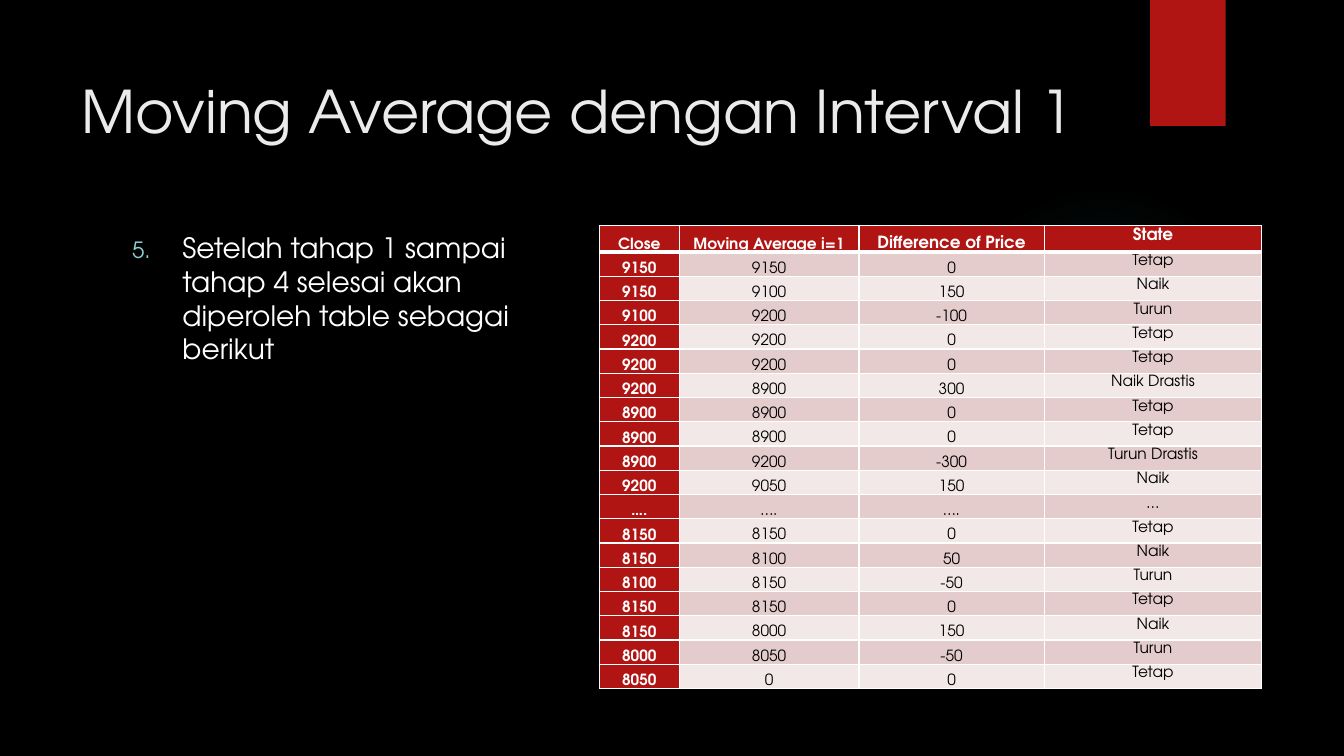
import pptx
import pptx.dml.color
import pptx.enum.shapes
import pptx.enum.text
import pptx.oxml
import pptx.oxml.ns
import pptx.util
from dataclasses import dataclass

# Content
TITLE = "Moving Average dengan Interval 1"
STEP = "Setelah tahap 1 sampai tahap 4 selesai akan diperoleh table sebagai berikut"
STEP_NUMBER = 5
HEADER = ("Close", "Moving Average i=1", "Difference of Price", "State")
PRICES = [
    ("9150", "9150", "0", "Tetap"),
    ("9150", "9100", "150", "Naik"),
    ("9100", "9200", "-100", "Turun"),
    ("9200", "9200", "0", "Tetap"),
    ("9200", "9200", "0", "Tetap"),
    ("9200", "8900", "300", "Naik Drastis"),
    ("8900", "8900", "0", "Tetap"),
    ("8900", "8900", "0", "Tetap"),
    ("8900", "9200", "-300", "Turun Drastis"),
    ("9200", "9050", "150", "Naik"),
    ("….", "….", "….", "…"),
    ("8150", "8150", "0", "Tetap"),
    ("8150", "8100", "50", "Naik"),
    ("8100", "8150", "-50", "Turun"),
    ("8150", "8150", "0", "Tetap"),
    ("8150", "8000", "150", "Naik"),
    ("8000", "8050", "-50", "Turun"),
    ("8050", "0", "0", "Tetap"),
]


@dataclass(frozen=True)
class Theme:
    font: str = "TeX Gyre Adventor"
    background: str = "000000"
    title: str = "EBEBEB"
    light: str = "FFFFFF"
    dark: str = "000000"
    red: str = "B01513"
    bands: tuple = ("E4CCCC", "F2E8E7")
    number: str = "8AD0D6"
    glow: str = "50B9C1"
    title_size: float = 42
    body_size: float = 20
    wide_header_size: float = 12
    cell_size: float = 11


THEME = Theme()
Pt = pptx.util.Pt
ALIGN = pptx.enum.text.PP_ALIGN
ANCHOR = pptx.enum.text.MSO_ANCHOR
SHAPE = pptx.enum.shapes.MSO_SHAPE

# Layout, in points: left, top, width, height
SLIDE_SIZE = (960, 540)
GLOW_BOX = (677.5, 131.8, 221.8, 221.8)
TAB_BOX = (821.5, 0, 54, 90)
TITLE_BOX = (51.1, 49.7, 728.6, 96.5)
BODY_BOX = (87.1, 161.3, 341.3, 330.5)
TABLE_BOX = (428.2, 161.3, 473.2, 330.5)
COLUMN_WIDTHS = (57, 128.4, 132.3, 155.5)
HEADER_HEIGHT = 18.7
ROW_HEIGHT = (TABLE_BOX[3] - HEADER_HEIGHT) / len(PRICES)


def rgb(color):
    return pptx.dml.color.RGBColor.from_string(color)


def apply(target, values):
    for name, value in values.items():
        setattr(target, name, value)


def xml(markup):
    return pptx.oxml.parse_xml(markup.replace(">", f" {pptx.oxml.ns.nsdecls('a')}>", 1))


def place(shape, box):
    apply(shape, dict(zip(("left", "top", "width", "height"), map(Pt, box))))


def write(frame, text, size, color, bold=False, align=ALIGN.LEFT):
    para = frame.paragraphs[0]
    para.alignment = align
    span = para.add_run()
    span.text = text
    apply(span.font, {"name": THEME.font, "size": Pt(size), "bold": bold})
    span.font.color.rgb = rgb(color)
    return para


def add_decoration(page, kind, box):
    shape = page.shapes.add_shape(kind, *map(Pt, box))
    shape.shadow.inherit = False
    shape.line.fill.background()
    page.shapes.title.element.addprevious(shape.element)
    return shape


def add_decorations(page):
    glow = add_decoration(page, SHAPE.OVAL, GLOW_BOX)
    stops = "".join(
        f'<a:gs pos="{position * 1000}"><a:srgbClr val="{THEME.glow}">'
        f'<a:alpha val="{alpha * 1000}"/></a:srgbClr></a:gs>'
        for position, alpha in ((0, 7), (36, 6), (69, 0)))
    glow.fill.background()
    no_fill = glow.element.spPr.find(pptx.oxml.ns.qn("a:noFill"))
    no_fill.getparent().replace(no_fill, xml(
        f'<a:gradFill><a:gsLst>{stops}</a:gsLst><a:path path="circle">'
        '<a:fillToRect l="50000" t="50000" r="50000" b="50000"/></a:path></a:gradFill>'))
    tab = add_decoration(page, SHAPE.RECTANGLE, TAB_BOX)
    tab.fill.solid()
    tab.fill.fore_color.rgb = rgb(THEME.red)


def fill_placeholders(page):
    title, body = page.shapes.title, page.placeholders[1]
    for holder, box in ((title, TITLE_BOX), (body, BODY_BOX)):
        place(holder, box)
        apply(holder.text_frame, {"vertical_anchor": ANCHOR.TOP, "word_wrap": True,
                                  "auto_size": pptx.enum.text.MSO_AUTO_SIZE.NONE})
    write(title.text_frame, TITLE, THEME.title_size, THEME.title)
    para = write(body.text_frame, STEP, THEME.body_size, THEME.light)
    para.space_before = Pt(10)
    # Numbered bullet with a hanging indent
    properties = para._p.get_or_add_pPr()
    properties.set("marL", str(Pt(36)))
    properties.set("indent", str(-Pt(36)))
    for markup in (
            f'<a:buClr><a:srgbClr val="{THEME.number}"/></a:buClr>',
            '<a:buSzPct val="80000"></a:buSzPct>',
            f'<a:buFont typeface="{THEME.font}"></a:buFont>',
            f'<a:buAutoNum type="arabicPeriod" startAt="{STEP_NUMBER}"></a:buAutoNum>'):
        properties.append(xml(markup))


def add_borders(cell, widths):
    properties = cell._tc.get_or_add_tcPr()
    for side, width in widths.items():
        properties.append(xml(
            f'<a:ln{side} w="{Pt(width)}"><a:solidFill><a:srgbClr val="{THEME.light}"/>'
            f'</a:solidFill></a:ln{side}>'))


def add_price_table(page):
    rows = [HEADER, *PRICES]
    table = page.shapes.add_table(len(rows), len(HEADER), *map(Pt, TABLE_BOX)).table
    table.horz_banding = False
    for column, width in zip(table.columns, COLUMN_WIDTHS):
        column.width = Pt(width)
    for r, values in enumerate(rows):
        table.rows[r].height = Pt(ROW_HEIGHT if r else HEADER_HEIGHT)
        for c, value in enumerate(values):
            cell = table.cell(r, c)
            strong = r == 0 or c == 0
            apply(cell, {"margin_left": Pt(5.4), "margin_right": Pt(5.4),
                         "margin_top": 0, "margin_bottom": 0,
                         "vertical_anchor": ANCHOR.TOP if c == 3 else ANCHOR.BOTTOM})
            add_borders(cell, {"L": 1, "R": 1, "T": 3 if r == 1 else 1,
                               "B": 3 if r == 0 else 1})
            cell.fill.solid()
            cell.fill.fore_color.rgb = rgb(THEME.red if strong else THEME.bands[(r - 1) % 2])
            size = THEME.wide_header_size if r == 0 and c >= 2 else THEME.cell_size
            para = write(cell.text_frame, value, size,
                         THEME.light if strong else THEME.dark, strong, ALIGN.CENTER)
            para.line_spacing = 1.15


def main():
    deck = pptx.Presentation()
    deck.slide_width, deck.slide_height = map(Pt, SLIDE_SIZE)
    page = deck.slides.add_slide(deck.slide_layouts[1])
    page.background.fill.solid()
    page.background.fill.fore_color.rgb = rgb(THEME.background)
    add_decorations(page)
    fill_placeholders(page)
    add_price_table(page)
    deck.save("out.pptx")


if __name__ == "__main__":
    main()
